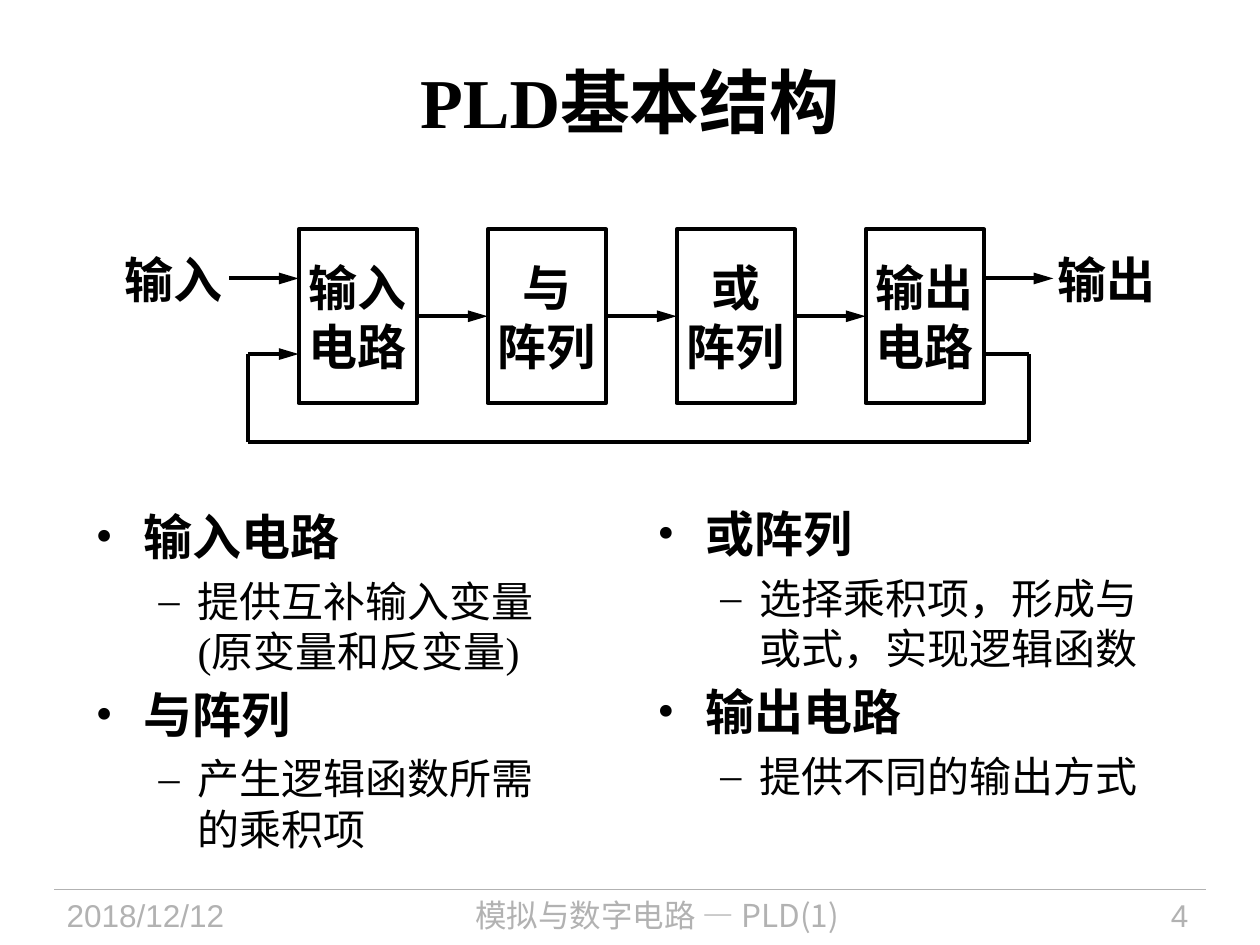
from itertools import pairwise
from lxml.etree import SubElement
from pptx import Presentation
from pptx.dml.color import RGBColor
from pptx.enum.shapes import MSO_CONNECTOR, MSO_SHAPE
from pptx.enum.text import MSO_ANCHOR, PP_ALIGN
from pptx.oxml.ns import qn
from pptx.util import Inches, Pt

BLACK, WHITE, GREY = "000000", "FFFFFF", "B2B2B2"
SERIF, SANS, CHINESE = "Times New Roman", "Arial", "Noto Sans CJK SC"

TITLE = "PLD基本结构"
STAGES = ["输入\n电路", "与\n阵列", "或\n阵列", "输出\n电路"]
END_LABELS = [("输入", 0.99), ("输出", 8.39)]  # text, left
COLUMNS = [
    ((0.66, 3.97, 3.79, 2.97), [
        ("输入电路", "提供互补输入变量(原变量和反变量)"),
        ("与阵列", "产生逻辑函数所需的乘积项"),
    ]),
    ((5.12, 3.95, 4.17, 2.96), [
        ("或阵列", "选择乘积项，形成与或式，实现逻辑函数"),
        ("输出电路", "提供不同的输出方式"),
    ]),
]
FOOTER = [  # text, left, width, alignment, font
    ("2018/12/12", 0.43, 1.88, PP_ALIGN.LEFT, SANS),
    ("模拟与数字电路 — PLD(1)", 2.4, 5.63, PP_ALIGN.CENTER, CHINESE),
    ("4", 8.2, 1.33, PP_ALIGN.RIGHT, SANS),
]
LEVELS = [  # bullet, text indent, hanging indent, size, bold
    ("•", 0.38, 0.38, 28, True),
    ("–", 0.81, 0.31, 24, False),
]

STAGE_LEFT, STAGE_TOP, STAGE_WIDTH, STAGE_HEIGHT = 2.37, 1.82, 0.94, 1.38
STAGE_PITCH = 1.5
SIGNAL_Y, FEEDBACK_Y, LOOP_BOTTOM = 2.21, 2.81, 3.51
LOOP_LEFT, LOOP_RIGHT, ARROW_LENGTH = 1.97, 8.17, 0.55
FOOTER_TOP, FOOTER_HEIGHT = 7.06, 0.44


def color(value):
    return RGBColor.from_string(value)


def style(paragraph, size, font, tint=BLACK, bold=False, align=None):
    paragraph.alignment = align
    for span in paragraph.runs:
        span.font.size, span.font.name, span.font.bold = Pt(size), font, bold
        span.font.color.rgb = color(tint)


def add_text(page, text, left, top, width, height):
    box = page.shapes.add_textbox(*map(Inches, (left, top, width, height)))
    box.text_frame.word_wrap = True
    box.text_frame.text = text
    return box


def center_label(frame):
    """Centre bold diagram text in a frame without insets."""
    frame.margin_left = frame.margin_right = frame.margin_top = frame.margin_bottom = 0
    frame.word_wrap = False
    frame.vertical_anchor = MSO_ANCHOR.MIDDLE
    for paragraph in frame.paragraphs:
        style(paragraph, 28, SANS, bold=True, align=PP_ALIGN.CENTER)


def add_line(page, start, end, arrow=False, tint=BLACK, width=2.25):
    line = page.shapes.add_connector(MSO_CONNECTOR.STRAIGHT, *map(Inches, (*start, *end)))
    line.line.color.rgb = color(tint)
    line.line.width = Pt(width)
    if arrow:
        SubElement(line.line._get_or_add_ln(), qn("a:tailEnd"), type="triangle", w="med", len="lg")
    SubElement(line._element.spPr, qn("a:effectLst"))
    return line


def add_stage(page, text, left):
    box = page.shapes.add_shape(
        MSO_SHAPE.RECTANGLE, *map(Inches, (left, STAGE_TOP, STAGE_WIDTH, STAGE_HEIGHT)))
    box.shadow.inherit = False
    box.fill.solid()
    box.fill.fore_color.rgb = color(WHITE)
    box.line.color.rgb = color(BLACK)
    box.line.width = Pt(2.25)
    box.text_frame.text = text
    center_label(box.text_frame)
    return box


def add_diagram(page):
    lefts = [STAGE_LEFT + i * STAGE_PITCH for i in range(len(STAGES))]
    stages = [add_stage(page, text, left) for text, left in zip(STAGES, lefts)]
    middle = STAGE_TOP + STAGE_HEIGHT / 2
    for (source, target), (left, right) in zip(pairwise(stages), pairwise(lefts)):
        arrow = add_line(page, (left + STAGE_WIDTH, middle), (right, middle), arrow=True)
        arrow.begin_connect(source, 3)
        arrow.end_connect(target, 1)

    for text, left in END_LABELS:
        center_label(add_text(page, text, left, 1.98, 0.78, 0.47).text_frame)
    output_x = lefts[-1] + STAGE_WIDTH
    for x in (STAGE_LEFT - ARROW_LENGTH, output_x):
        add_line(page, (x, SIGNAL_Y), (x + ARROW_LENGTH, SIGNAL_Y), arrow=True)

    loop = [(output_x, FEEDBACK_Y), (LOOP_RIGHT, FEEDBACK_Y), (LOOP_RIGHT, LOOP_BOTTOM),
            (LOOP_LEFT, LOOP_BOTTOM), (LOOP_LEFT, FEEDBACK_Y), (STAGE_LEFT, FEEDBACK_Y)]
    for start, end in pairwise(loop):
        add_line(page, start, end, arrow=end == loop[-1])


def add_bullets(page, area, topics):
    lines = [(level, text) for topic in topics for level, text in enumerate(topic)]
    box = add_text(page, "\n".join(text for _, text in lines), *area)
    for paragraph, (level, _) in zip(box.text_frame.paragraphs, lines):
        bullet, indent, hanging, size, bold = LEVELS[level]
        paragraph.level = level
        paragraph.space_after = Pt(size * 0.2)
        properties = paragraph._p.get_or_add_pPr()
        properties.set("marL", str(Inches(indent)))
        properties.set("indent", str(-Inches(hanging)))
        SubElement(properties, qn("a:buFont"), typeface=SERIF)
        SubElement(properties, qn("a:buChar"), char=bullet)
        style(paragraph, size, SERIF, bold=bold)


def main():
    deck = Presentation()
    deck.slide_width, deck.slide_height = Inches(10), Inches(7.5)
    page = deck.slides.add_slide(deck.slide_layouts[5])

    title = page.shapes.title
    title.left, title.top, title.width, title.height = map(Inches, (0.5, 0.17, 9, 1.25))
    title.text_frame.text = TITLE
    title.text_frame.vertical_anchor = MSO_ANCHOR.MIDDLE
    style(title.text_frame.paragraphs[0], 40, SERIF, bold=True, align=PP_ALIGN.CENTER)

    add_diagram(page)
    for area, topics in COLUMNS:
        add_bullets(page, area, topics)

    add_line(page, (0.43, FOOTER_TOP), (9.57, FOOTER_TOP), tint=GREY, width=0.75)
    for text, left, width, align, font in FOOTER:
        box = add_text(page, text, left, FOOTER_TOP, width, FOOTER_HEIGHT)
        style(box.text_frame.paragraphs[0], 18, font, GREY, align=align)

    deck.save("out.pptx")


if __name__ == "__main__":
    main()
